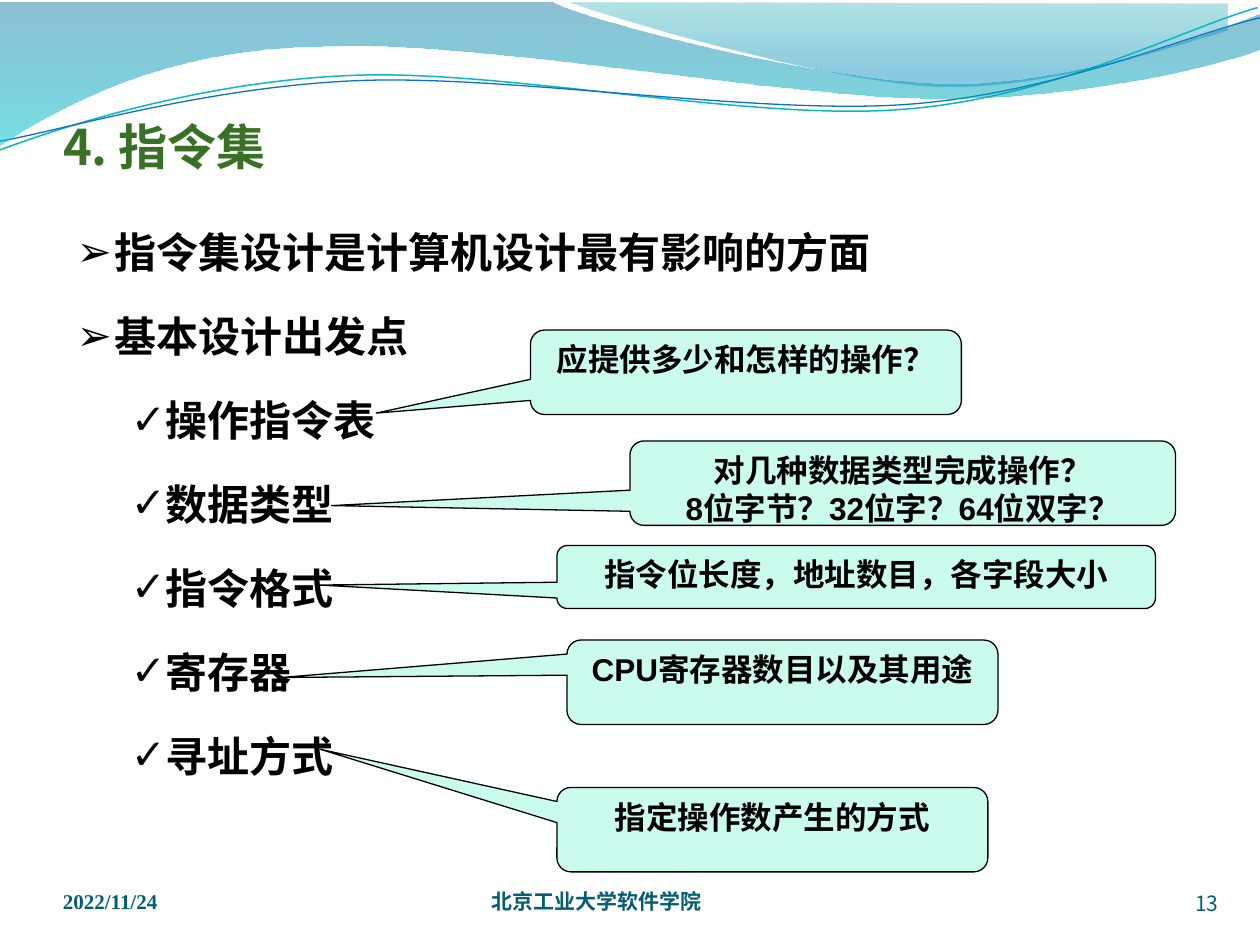
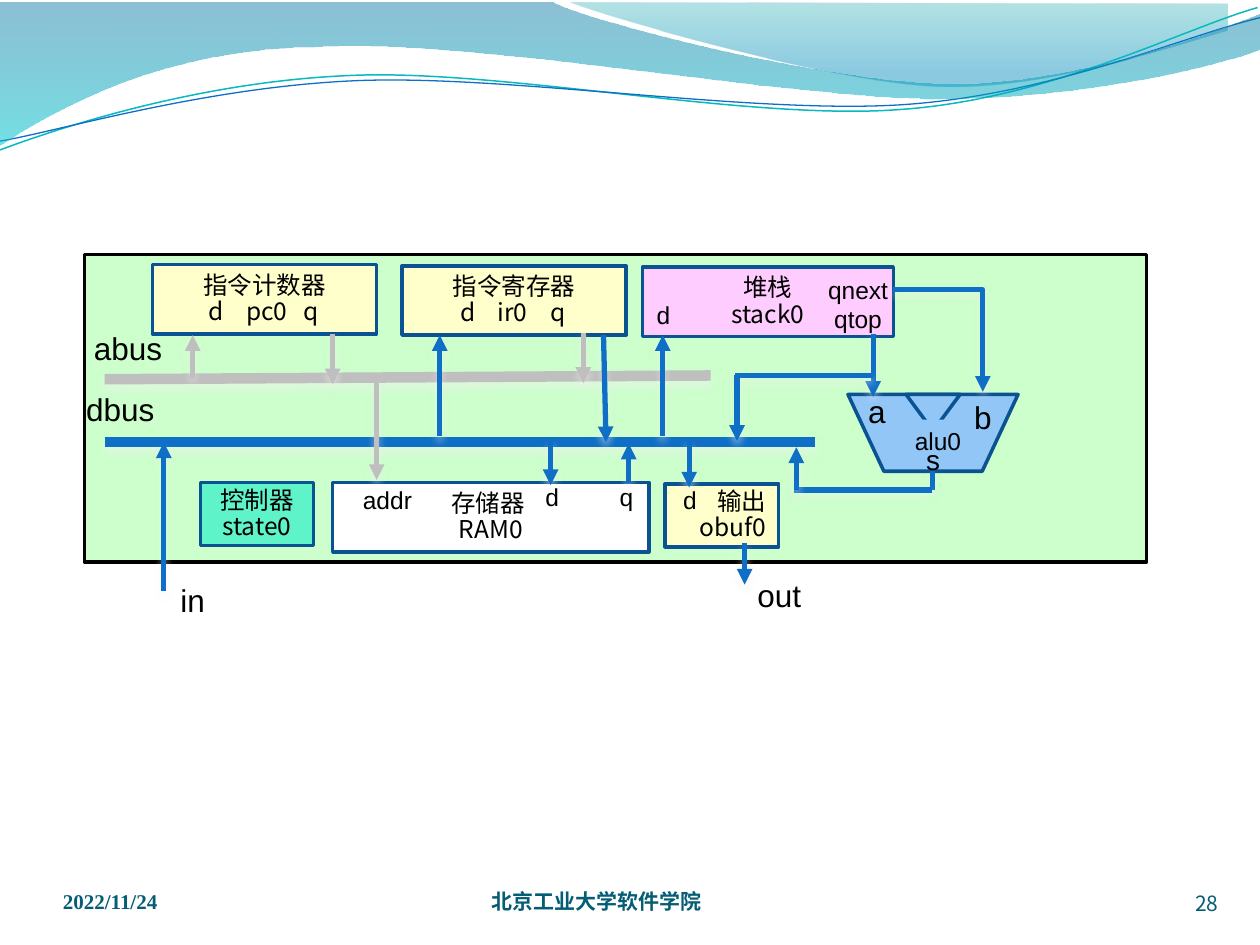
import math
from lxml import etree
from pptx import Presentation
from pptx import util as u
from pptx.dml.color import RGBColor
from pptx.enum import shapes, text
from pptx.oxml import ns

INK, FOOTER, BLUE, GREY, EDGE = "000000", "045D75", "0F6FC6", "BFBFBF", "0B5292"
CREAM, ALU, MINT = "FFFFCC", "91C6F7", "CAFBED"
SANS, CJK = "Arial", "Noto Sans CJK SC"
LEFT, CENTER, RIGHT = text.PP_ALIGN.LEFT, text.PP_ALIGN.CENTER, text.PP_ALIGN.RIGHT
TOP, MIDDLE, BOTTOM = text.MSO_ANCHOR.TOP, text.MSO_ANCHOR.MIDDLE, text.MSO_ANCHOR.BOTTOM
FORM = shapes.MSO_SHAPE


def paint(fill, color=None):
    if color is None:
        fill.background()
    else:
        fill.solid()
        fill.fore_color.rgb = RGBColor.from_string(color)


def write(shape, words, size=14, font=SANS, color=INK, bold=False, align=CENTER, anchor=TOP,
          wrap=True, insets=(0.1, 0.05, 0.1, 0.05), leading=None, tabs=(), tab_align="ctr"):
    frame = shape.text_frame
    frame.text = words
    frame.word_wrap = wrap
    frame.auto_size = text.MSO_AUTO_SIZE.NONE
    frame.vertical_anchor = anchor
    frame.margin_left, frame.margin_top, frame.margin_right, frame.margin_bottom = map(u.Inches, insets)
    for paragraph in frame.paragraphs:
        paragraph.alignment = align
        if leading:
            paragraph.line_spacing = u.Pt(leading)
        if "\t" in paragraph.text:
            paragraph.alignment = LEFT
            stops = etree.SubElement(paragraph._p.get_or_add_pPr(), ns.qn("a:tabLst"))
            for position in tabs:
                stop = etree.SubElement(stops, ns.qn("a:tab"))
                stop.set("pos", str(u.Inches(position)))
                stop.set("algn", tab_align)
        for run in paragraph.runs:
            run.font.size, run.font.bold, run.font.name = u.Pt(size), bold, font
            paint(run.font.fill, color)
            east = etree.SubElement(run._r.get_or_add_rPr(), ns.qn("a:ea"))
            east.set("typeface", font if "CJK" in font else CJK)
    return frame.paragraphs


deck = Presentation()
deck.slide_width, deck.slide_height = u.Inches(10), u.Inches(7.5)
instructions = deck.slides.add_slide(deck.slide_layouts[5])
datapath = deck.slides.add_slide(deck.slide_layouts[6])

TILT = 2.7
waves = [
    ([(4.53, 0.02), (4.83, 0.14, 6.56, 0.64, 7.42, 0.68), (8.29, 0.72, 9.35, 0.35, 9.74, 0.24),
      (9.74, 0.03)], [("00A1A9", 0, 30), ("008BBF", 0.8, 45)], None, 0),
    ([(0, 1.19), (0.48, 1.01, 1.58, 0.65, 2.76, 0.6), (3.95, 0.54, 5.92, 0.96, 7.13, 0.87),
      (8.33, 0.79, 9.38, 0.23, 9.98, 0.06)], None, "0AB8BF", 0.85),
    ([(0, 1.12), (0.47, 1.04, 1.63, 0.69, 2.83, 0.64), (4.02, 0.59, 5.97, 0.91, 7.17, 0.83),
      (8.36, 0.75, 9.41, 0.28, 10, 0.14)], None, BLUE, 0.75),
    ([(-0.01, 0.02), (4.39, 0.02), (4.75, 0.19, 6.62, 0.66, 7.57, 0.66),
      (8.52, 0.66, 9.57, 0.28, 9.99, 0.11), (10, 0.39), (9.82, 0.47, 8.69, 0.78, 7.45, 0.78),
      (6.21, 0.78, 3.81, 0.31, 2.56, 0.37), (1.28, 0.38, 0.45, 0.86, -0.02, 1.16)],
     [("0074A1", 0, 45), ("00C6CF", 1, 55)], None, 0),
]
for slide, number in ((instructions, "13"), (datapath, "28")):
    for outline, gradient, stroke, width in waves:
        turn = 0 if gradient else math.radians(TILT)
        cos, sin = math.cos(turn), math.sin(turn)
        parts = []
        for part in outline:
            pairs = [(x - 4.99, y - 0.66) for x, y in zip(part[::2], part[1::2])]
            parts.append([(u.Inches(4.99 + x * cos - y * sin), u.Inches(0.66 + x * sin + y * cos))
                          for x, y in pairs])
        builder = slide.shapes.build_freeform(*parts[0][0])
        builder.add_line_segments([part[-1] for part in parts[1:]], close=gradient is not None)
        wave = builder.convert_to_shape()
        wave.shadow.inherit = False
        for segment, part in zip(list(wave._element.iter(ns.qn("a:lnTo"))), parts[1:]):
            if len(part) == 3:
                curve = etree.Element(ns.qn("a:cubicBezTo"))
                for x, y in part:
                    point = etree.SubElement(curve, ns.qn("a:pt"))
                    point.set("x", str(x - wave.left))
                    point.set("y", str(y - wave.top))
                segment.getparent().replace(segment, curve)
        paint(wave.line.fill, stroke)
        if gradient:
            wave.fill.gradient()
            wave.fill.gradient_angle = 270
            for stop, (color, position, opacity) in zip(wave.fill.gradient_stops, gradient):
                stop.color.rgb = RGBColor.from_string(color)
                stop.position = position
            tints = list(wave._element.spPr.iter(ns.qn("a:srgbClr")))
            for tint, (color, position, opacity) in zip(tints, gradient):
                etree.SubElement(tint, ns.qn("a:alpha")).set("val", str(opacity * 1000))
        else:
            paint(wave.fill)
            wave.line.width = u.Pt(width)
            wave.rotation = 360 - TILT
    for x, y, w, words, font, bold, align in (
            (0.5, 6.88, 2.33, "2022/11/24", "Times New Roman", True, LEFT),
            (3.9, 6.88, 3.67, "北京工业大学软件学院", CJK, True, LEFT),
            (8.84, 6.9, 0.83, number, CJK, False, RIGHT)):
        footer = slide.shapes.add_textbox(u.Inches(x), u.Inches(y), u.Inches(w), u.Inches(0.37))
        write(footer, words, size=12, font=font, color=FOOTER, bold=bold, align=align,
              anchor=BOTTOM, insets=(0, 0, 0, 0))

title = instructions.shapes.title
title.left, title.top, title.width, title.height = map(u.Inches, (0.5, 0.77, 9, 0.62))
write(title, "4. 指令集", size=28, font="Noto Sans CJK JP", color="387026", bold=True,
      align=LEFT, anchor=BOTTOM, insets=(0, 0.05, 0, 0))

topics = ["指令集设计是计算机设计最有影响的方面", "基本设计出发点",
          "操作指令表", "数据类型", "指令格式", "寄存器", "寻址方式"]
topic_list = instructions.shapes.add_textbox(u.Inches(0.51), u.Inches(1.55), u.Inches(9), u.Inches(5.28))
lines = write(topic_list, "\n".join(topics), size=24, font=CJK, bold=True, align=LEFT, leading=48)
lines[0].line_spacing = u.Pt(43)
for index, line in enumerate(lines):
    level, margin, hang, mark = (0, 0.3, 0.3, "➢") if index < 2 else (1, 0.7, 0.27, "✓")
    line.level = level
    props = line._p.get_or_add_pPr()
    props.set("marL", str(u.Inches(margin)))
    props.set("indent", str(-u.Inches(hang)))
    etree.SubElement(props, ns.qn("a:buFont")).set("typeface", SANS)
    etree.SubElement(props, ns.qn("a:buChar")).set("char", mark)

questions = [
    (4.21, 2.62, 3.42, 0.67, -0.858, 0.484, "应提供多少和怎样的操作？"),
    (5, 3.5, 4.33, 0.67, -1.047, 0.266, "对几种数据类型完成操作？\n8位字节？32位字？64位双字？"),
    (4.42, 4.33, 4.75, 0.5, -0.897, 0.128, "指令位长度，地址数目，各字段大小"),
    (4.5, 5.08, 3.42, 0.67, -1.163, -0.056, "CPU寄存器数目以及其用途"),
    (4.42, 6.25, 3.42, 0.67, -1.049, -0.952, "指定操作数产生的方式"),
]
for x, y, w, h, tip_x, tip_y, words in questions:
    callout = instructions.shapes.add_shape(FORM.ROUNDED_RECTANGULAR_CALLOUT, *map(u.Inches, (x, y, w, h)))
    callout.shadow.inherit = False
    callout.adjustments[0], callout.adjustments[1] = tip_x, tip_y
    paint(callout.fill, MINT)
    paint(callout.line.fill, INK)
    callout.line.width = u.Pt(0.75)
    write(callout, words, size=18, bold=True)

units = [
    (FORM.RECTANGLE, 0.67, 2.02, 8.43, 2.44, "CCFFCC", INK, "", CENTER, ()),
    (FORM.RECTANGLE, 1.21, 2.1, 1.78, 0.55, CREAM, EDGE, "指令计数器\n\td\tpc0\tq", CENTER, (0.41, 0.81, 1.16)),
    (FORM.RECTANGLE, 3.19, 2.11, 1.78, 0.55, CREAM, EDGE, "指令寄存器\n\td\tir0\tq", CENTER, (0.43, 0.78, 1.14)),
    (FORM.RECTANGLE, 5.1, 2.12, 1.99, 0.55, "FFCCFF", EDGE, "堆栈\nstack0", CENTER, ()),
    (FORM.RECTANGLE, 1.59, 3.83, 0.9, 0.5, "5FF3CA", EDGE, "控制器state0", CENTER, ()),
    (FORM.RECTANGLE, 2.64, 3.83, 2.51, 0.55, "FFFFFF", EDGE, "存储器 \nRAM0", CENTER, ()),
    (FORM.RECTANGLE, 5.28, 3.84, 0.9, 0.5, CREAM, EDGE, "输出obuf0", RIGHT, ()),
    (FORM.TRAPEZOID, 6.73, 3.13, 1.35, 0.61, ALU, EDGE, "", CENTER, ()),
    (FORM.ISOSCELES_TRIANGLE, 7.19, 3.13, 0.43, 0.29, ALU, EDGE, "", CENTER, ()),
    (FORM.RECTANGLE, 7.16, 3.33, 0.57, 0.34, ALU, None, "alu0", CENTER, ()),
]
for form, x, y, w, h, fill, edge, words, align, tabs in units:
    unit = datapath.shapes.add_shape(form, *map(u.Inches, (x, y, w, h)))
    unit.shadow.inherit = False
    paint(unit.fill, fill)
    paint(unit.line.fill, edge)
    if edge:
        unit.line.width = u.Pt(2)
    if form != FORM.RECTANGLE:
        unit.rotation = 180
    if form == FORM.TRAPEZOID:
        unit.adjustments[0] = 0.467
    if words and edge:
        write(unit, words, font=CJK, align=align, anchor=MIDDLE, leading=15, tabs=tabs)
    elif words:
        write(unit, words, wrap=False)

wires = [
    (0.83, 3.51, 6.47, 3.51, BLUE, 6, False),
    (1.3, 4.69, 1.3, 3.51, BLUE, 3, True),
    (5.47, 3.5, 5.47, 3.87, BLUE, 3, True),
    (5.91, 4.31, 5.91, 4.64, BLUE, 3, True),
    (0.83, 3.01, 5.64, 2.98, GREY, 6, False),
    (2.99, 3.02, 2.99, 3.81, GREY, 3, True),
    (4.37, 3.5, 4.37, 3.85, BLUE, 3, True),
    (4.99, 3.83, 4.99, 3.52, BLUE, 3, True),
    (5.26, 3.46, 5.26, 2.66, BLUE, 3, True),
    (7.87, 2.35, 7.04, 3.04, BLUE, 3, True),
    (6.93, 2.65, 6.93, 3.15, BLUE, 3, True),
    (7.4, 3.74, 7.4, 3.89, BLUE, 3, False),
    (7.4, 3.89, 6.3, 3.89, BLUE, 3, False),
    (6.32, 3.89, 6.32, 3.55, BLUE, 3, True),
    (6.93, 2.98, 5.83, 2.98, BLUE, 3, False),
    (5.85, 2.98, 5.85, 3.5, BLUE, 3, True),
    (1.53, 3, 1.53, 2.66, GREY, 3, True),
    (2.64, 2.65, 2.64, 3.05, GREY, 3, True),
    (3.49, 3.46, 3.49, 2.66, BLUE, 3, True),
    (4.63, 2.64, 4.63, 3.04, GREY, 3, True),
    (4.79, 2.66, 4.81, 3.51, BLUE, 3, True),
]
GLOW = ('<a:effectLst xmlns:a="http://schemas.openxmlformats.org/drawingml/2006/main">'
        '<a:outerShdw blurRad="57150" dist="38100" dir="5400000" algn="ctr" rotWithShape="0">'
        '<a:srgbClr val="F2F2F2"><a:alpha val="48000"/></a:srgbClr></a:outerShdw></a:effectLst>')
for x1, y1, x2, y2, color, width, arrow in wires:
    bent = x1 != x2 and abs(y1 - y2) > 0.1 and arrow and x1 > 7
    kind = shapes.MSO_CONNECTOR.ELBOW if bent else shapes.MSO_CONNECTOR.STRAIGHT
    wire = datapath.shapes.add_connector(kind, *map(u.Inches, (x1, y1, x2, y2)))
    paint(wire.line.fill, color)
    wire.line.width = u.Pt(width)
    props = wire._element.spPr
    if arrow:
        etree.SubElement(props.find(ns.qn("a:ln")), ns.qn("a:tailEnd")).set("type", "triangle")
    props.append(etree.fromstring(GLOW))
    if bent:
        props.find(ns.qn("a:xfrm")).set("rot", "16200000")
        guide = etree.SubElement(props.find(".//" + ns.qn("a:avLst")), ns.qn("a:gd"))
        guide.set("name", "adj1")
        guide.set("fmla", "val 2500")

labels = [
    (5.91, 4.52, 0.55, 0.4, "out", 18), (1.33, 4.56, 0.4, 0.4, "in", 18),
    (0.58, 3.05, 0.75, 0.4, "dbus", 18), (0.64, 2.56, 0.75, 0.4, "abus", 18),
    (2.78, 3.8, 0.59, 0.34, "addr", 14), (4.23, 3.78, 0.91, 0.34, "d\tq", 14),
    (5.32, 3.8, 0.31, 0.34, "d", 14), (5.11, 2.33, 0.31, 0.34, "d", 14),
    (6.47, 2.13, 0.68, 0.57, "qnext\nqtop", 14), (6.79, 3.06, 0.34, 0.4, "a", 18),
    (7.63, 3.11, 0.34, 0.4, "b", 18), (7.25, 3.46, 0.31, 0.37, "s", 16),
]
for x, y, w, h, words, size in labels:
    label = datapath.shapes.add_textbox(*map(u.Inches, (x, y, w, h)))
    write(label, words, size=size, wrap="\t" in words, tabs=(0.59,), tab_align="l")

deck.save("out.pptx")
